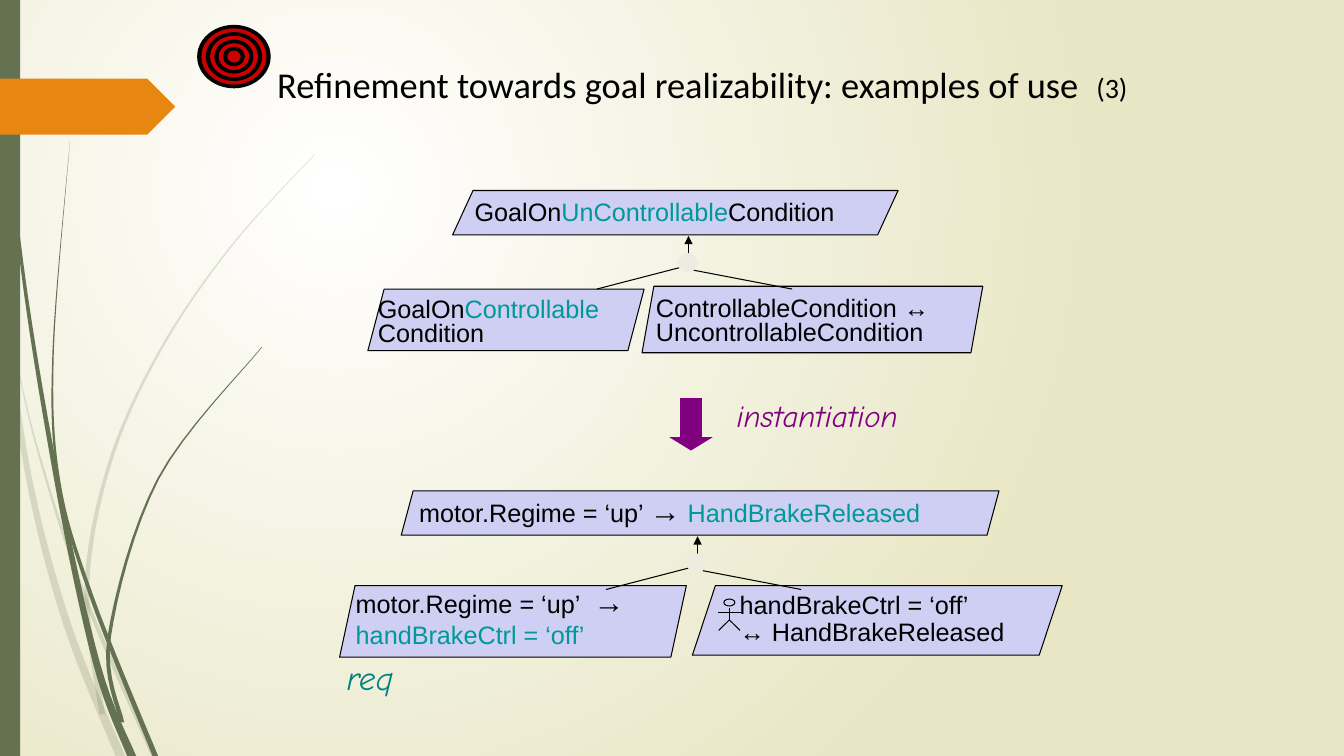
from pptx import Presentation
from pptx.dml.color import RGBColor
from pptx.enum.shapes import MSO_CONNECTOR as Connector, MSO_SHAPE as Shape
from pptx.enum.text import MSO_ANCHOR as Anchor, MSO_AUTO_SIZE as AutoSize, PP_ALIGN as Align
from pptx.oxml import parse_xml
from pptx.oxml.ns import nsdecls, qn
from pptx.util import Pt

BLACK = RGBColor(0x00, 0x00, 0x00)
WHITE = RGBColor(0xFF, 0xFF, 0xFF)
SAND = RGBColor(0xE8, 0xE6, 0xC4)
OLIVE = RGBColor(0x64, 0x72, 0x52)
ORANGE = RGBColor(0xE7, 0x87, 0x12)
LILAC = RGBColor(0xCE, 0xCF, 0xF2)
IVORY = RGBColor(0xEE, 0xEC, 0xE1)
TURQUOISE = RGBColor(0x00, 0x99, 0x99)
TEAL = RGBColor(0x00, 0x80, 0x80)
PURPLE = RGBColor(0x80, 0x00, 0x80)
RED = RGBColor(0xCC, 0x00, 0x00)

presentation = Presentation()
presentation.slide_width, presentation.slide_height = Pt(960), Pt(540)
slide = presentation.slides.add_slide(presentation.slide_layouts[5])
shapes = slide.shapes

background = slide.background.fill
background.gradient()
for stop, color in zip(background.gradient_stops, (WHITE, SAND)):
    stop.color.rgb = color
gradient = slide.element.find(".//" + qn("a:gradFill"))
gradient.remove(gradient.find(qn("a:lin")))
gradient.append(parse_xml(
    f'<a:path {nsdecls("a")} path="circle">'
    '<a:fillToRect l="50000" t="50000" r="100000" b="100000"/></a:path>'))


def add_shape(kind, place, fill, line=None, width=0.75):
    shape = kind if place is None else shapes.add_shape(kind, *map(Pt, place))
    shape.shadow.inherit = False
    if fill is None:
        shape.fill.background()
    else:
        shape.fill.solid()
        shape.fill.fore_color.rgb = fill
    if line is None:
        shape.line.fill.background()
    else:
        shape.line.color.rgb = line
        shape.line.width = Pt(width)
    return shape


def add_line(x1, y1, x2, y2):
    line = shapes.add_connector(Connector.STRAIGHT, Pt(x1), Pt(y1), Pt(x2), Pt(y2))
    line.line.color.rgb = BLACK
    line.line.width = Pt(0.75)
    line.element.spPr.append(parse_xml(f'<a:effectLst {nsdecls("a")}/>'))
    return line


blades = [
    (20, 3, 7, [(2, 209), (20, 338), (48, 446), (86, 540)]),
    (20, 0, 4, [(10, 248), (26, 318), (61, 427), (110, 540)]),
    (20, 0.5, 4, [(225, 110), (165, 176), (114, 251), (78, 332), (62, 421), (73, 510)]),
    (100, 0.7, 6.5, [(2, 0), (13, 167), (40, 340), (69, 474), (94, 540)]),
    (100, 0, 4, [(50, 101), (38, 251), (42, 343), (65, 425), (111, 540)]),
    (100, 0.5, 3.5, [(187, 248), (113, 342), (78, 455), (87, 516)]),
]
STEPS = 8
for opacity, tip, base, stem in blades:
    padded = [stem[0], *stem, stem[-1]]
    curve = []
    for knots in zip(padded, padded[1:], padded[2:], padded[3:]):
        for t in (step / STEPS for step in range(STEPS)):
            curve.append([q + t * (r - p) / 2 + t * t * (2 * p - 5 * q + 4 * r - s) / 2
                          + t ** 3 * (3 * q - p - 3 * r + s) / 2 for p, q, r, s in zip(*knots)])
    curve.append(stem[-1])
    sides = {-1: [], 1: []}
    for index, (x, y) in enumerate(curve):
        half = (tip + (base - tip) * index / (len(curve) - 1)) / 2
        for side, points in sides.items():
            points.append((Pt(x + side * half), Pt(y)))
    outline = sides[-1] + sides[1][::-1]
    builder = shapes.build_freeform(*outline[0])
    builder.add_line_segments(outline[1:])
    blade = add_shape(builder.convert_to_shape(), None, OLIVE)
    blade.element.spPr.find(".//" + qn("a:srgbClr")).append(
        parse_xml(f'<a:alpha {nsdecls("a")} val="{opacity * 1000}"/>'))

add_shape(Shape.RECTANGLE, (0, 0, 14.4, 540), OLIVE)
add_shape(Shape.PENTAGON, (0, 56.2, 125.2, 40), ORANGE)

goals = [(494.6, 418.3, 264.2, 49.7, 0.331), (458.6, 204.5, 243.4, 47.5, 0.178),
         (323.3, 136.1, 318.2, 31.7, 0.46), (262.8, 206.6, 197.3, 43.9, 0.264),
         (286.6, 350.6, 427, 31.7, 0.27), (242.6, 418.3, 247.7, 51.1, 0.216)]
for *place, slant in goals:
    goal = add_shape(Shape.PARALLELOGRAM, place, LILAC, BLACK)
    goal.adjustments[0] = slant

for x, y in [(491.8, 168.5), (498.3, 383.1)]:
    arrow = add_line(x, y + 14.4, x, y)
    arrow.line._get_or_add_ln().append(parse_xml(f'<a:tailEnd {nsdecls("a")} type="triangle"/>'))
    add_line(x - 5, y + 22.3, x - 65.5, y + 38)
    add_line(x + 3.6, y + 24.5, x + 74, y + 38)
    add_shape(Shape.OVAL, (x - 7.2, y + 13, 13, 12.2), IVORY, IVORY, 1.5)

instantiation = add_shape(Shape.DOWN_ARROW, (478.1, 284.4, 31, 37.4), PURPLE)
instantiation.adjustments[1] = 0.306

labels = [
    ((331.9, 136.8, 310.3, 28.1), "Arial", 18, [
        (1, [("GoalOn", BLACK), ("UnControllable", TURQUOISE), ("Condition", BLACK)])]),
    ((262.8, 210.2, 200.2, 41), "Arial", 18, [
        (0.8, [("GoalOn", BLACK), ("Controllable", TURQUOISE)]),
        (0.8, [("Condition", BLACK)])]),
    ((461.5, 209.5, 232.6, 41), "Arial", 18, [
        (0.8, [("ControllableCondition ↔", BLACK)]),
        (0.8, [("UncontrollableCondition", BLACK)])]),
    ((519.1, 280.1, 185.8, 28.1), "Comic Neue", 22, [(1, [("instantiation", PURPLE)])]),
    ((292.3, 352.8, 415.4, 27.4), "Arial", 18, [
        (0.8, [("motor.Regime = ‘up’ ", BLACK), ("→", BLACK), (" ", BLACK),
               ("HandBrakeReleased", TURQUOISE)])]),
    ((247, 417.6, 244.1, 41), "Arial", 18, [
        (0.8, [("motor.Regime = ‘up’  ", BLACK), ("→", BLACK)]),
        (1, [("handBrakeCtrl = ‘off’", TURQUOISE)])]),
    ((521.3, 421.9, 229, 43.9), "Arial", 18, [
        (0.8, [("handBrakeCtrl = ‘off’", BLACK)]),
        (0.9, [("↔ HandBrakeReleased", BLACK)])]),
    ((240.5, 471.6, 76.3, 31), "Comic Neue", 24, [(0.8, [("req", TEAL)])]),
]
special_sizes = {"→": 22, "(3)": 20}
title = shapes.title
title.left, title.top, title.width, title.height = map(Pt, (190.8, 22.3, 683.3, 72.7))
title.text_frame.vertical_anchor = Anchor.MIDDLE
texts = [(title, "Calibri", 26, [
    (1.1, [("Refinement towards goal realizability: examples of use  ", BLACK), ("(3)", BLACK)])])]
for place, *content in labels:
    texts.append((shapes.add_textbox(*map(Pt, place)), *content))
for shape, font, size, lines in texts:
    frame = shape.text_frame
    frame.word_wrap = True
    frame.auto_size = AutoSize.NONE
    for index, (spacing, runs) in enumerate(lines):
        paragraph = frame.add_paragraph() if index else frame.paragraphs[0]
        paragraph.alignment = Align.LEFT
        paragraph.line_spacing = spacing
        for text, color in runs:
            run = paragraph.add_run()
            run.text = text
            run.font.name = font
            run.font.size = Pt(special_sizes.get(text, size))
            run.font.color.rgb = color
            run.font.italic = font == "Comic Neue"

for ring in range(8):
    width, height = 51.8 - 6.15 * ring, 44.6 - 5.25 * ring
    color = RED if ring % 2 else BLACK
    add_shape(Shape.OVAL, (167.1 - width / 2, 40.4 - height / 2, width, height), color, color)

add_shape(Shape.OVAL, (517, 427.9, 7.9, 5), None, BLACK)
neck, hip = 434.2, 442.8
add_line(521, neck, 521, hip)
add_line(513, neck + 3.6, 529, neck + 3.6)
for foot in (513.4, 528.6):
    add_line(521, hip, foot, hip + 7.5)

presentation.save("out.pptx")
